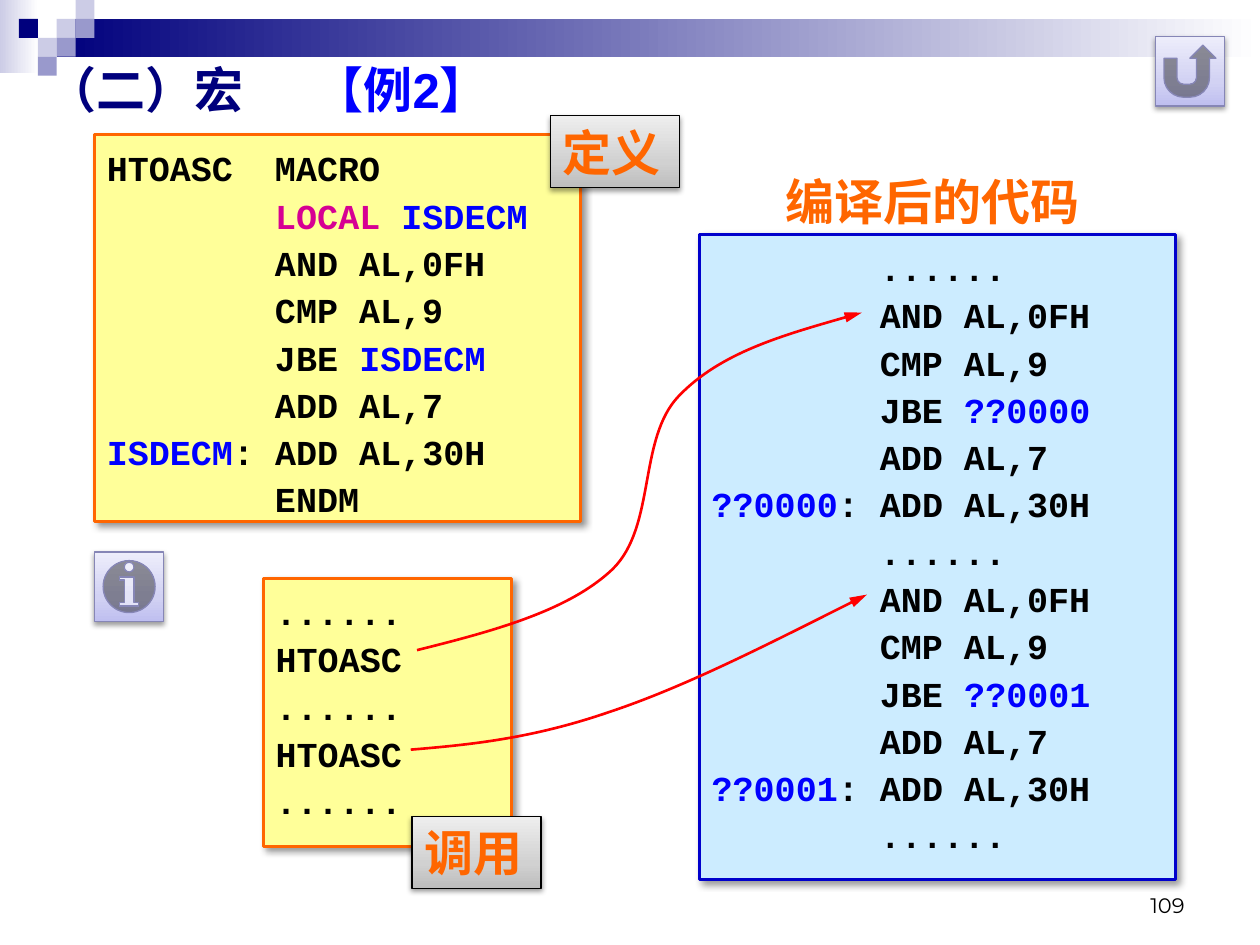
import pptx
import pptx.dml.color
import pptx.enum.shapes
import pptx.enum.text
import pptx.oxml
import pptx.oxml.ns
import pptx.util
from dataclasses import dataclass

Pt = pptx.util.Pt
RGB = pptx.dml.color.RGBColor.from_string
SHAPE = pptx.enum.shapes.MSO_SHAPE
ALIGN = pptx.enum.text.PP_ALIGN
ANCHOR = pptx.enum.text.MSO_ANCHOR
qn = pptx.oxml.ns.qn
NS = pptx.oxml.ns.nsdecls("a")


@dataclass(frozen=True)
class Theme:
    heading_font: str = "Arial"
    code_font: str = "Courier New"
    number_font: str = "Montserrat"
    heading_size: int = 28
    code_size: int = 20
    number_size: int = 12
    black: str = "000000"
    white: str = "FFFFFF"
    navy: str = "00007D"
    lilac: str = "CCCCE6"
    violet: str = "9999CC"
    orange: str = "FF6600"
    blue: str = "0000FF"
    magenta: str = "D60093"
    red: str = "FF0000"
    yellow: str = "FFFF99"
    sky: str = "CCECFF"
    sky_edge: str = "0000CC"
    button_edge: str = "8686B6"
    grey_fade: tuple = ((0, "BDBDBD"), (35, "D1D1D1"), (100, "EEEEEE"))
    button_fade: tuple = ((0, "BFBFF0"), (35, "D2D2F3"), (100, "EDEDFB"))
    # opacity %, blur, distance, direction
    box_shadow: tuple = (40, 4, 3, 45)
    button_shadow: tuple = (38, 3.1, 1.6, 90)


theme = Theme()


def write(shape, lines, font=theme.heading_font, size=theme.heading_size, color=theme.orange,
          bold=True, align=ALIGN.LEFT, anchor=ANCHOR.MIDDLE, top=3.6, leading=None, gap=0):
    """Each line is a list of runs; a run is a string or a (string, colour) pair."""
    frame = shape.text_frame
    frame.word_wrap = True
    frame.vertical_anchor = anchor
    frame.margin_left = frame.margin_right = Pt(7.2)
    frame.margin_top, frame.margin_bottom = Pt(top), Pt(3.6)
    for index, line in enumerate(lines):
        paragraph = frame.add_paragraph() if index else frame.paragraphs[0]
        paragraph.alignment = align
        if leading:
            paragraph.line_spacing = Pt(leading)
        if index and gap:
            paragraph.space_before = Pt(gap)
        for part in line:
            words, ink = (part, color) if isinstance(part, str) else part
            run = paragraph.add_run()
            run.text = words
            run.font.name, run.font.size, run.font.bold = font, Pt(size), bold
            run.font.color.rgb = RGB(ink)


def add_box(preset, place, fill, angle=90, edge=None, weight=1.5, shadow=None):
    """Fill is a colour or a row of (percent, colour) gradient stops."""
    shape = slide.shapes.add_shape(preset, *map(Pt, place))
    if isinstance(fill, str):
        shape.fill.solid()
        shape.fill.fore_color.rgb = RGB(fill)
    else:
        shape.fill.gradient()
        shape.fill.gradient_angle = angle
        stops = shape.element.spPr.find(qn("a:gradFill")).find(qn("a:gsLst"))
        for stop in list(stops):
            stops.remove(stop)
        for percent, color in fill:
            stops.append(pptx.oxml.parse_xml(
                f'<a:gs {NS} pos="{percent * 1000}"><a:srgbClr val="{color}"/></a:gs>'))
    if edge:
        shape.line.color.rgb = RGB(edge)
        shape.line.width = Pt(weight)
    else:
        shape.line.fill.background()
    shape.shadow.inherit = False
    if shadow:
        opacity, blur, distance, direction = shadow
        shape.element.spPr.find(qn("a:effectLst")).append(pptx.oxml.parse_xml(
            f'<a:outerShdw {NS} blurRad="{Pt(blur)}" dist="{Pt(distance)}" '
            f'dir="{direction * 60000}" rotWithShape="0"><a:srgbClr val="{theme.black}">'
            f'<a:alpha val="{opacity * 1000}"/></a:srgbClr></a:outerShdw>'))
    return shape


deck = pptx.Presentation()
deck.slide_width, deck.slide_height = Pt(720), Pt(540)
slide = deck.slides.add_slide(deck.slide_layouts[5])

# Banner
add_box(SHAPE.RECTANGLE, (0, 0, 22, 42), ((0, theme.lilac), (100, theme.white)), angle=0)
add_box(SHAPE.RECTANGLE, (32.4, 10.8, 687.6, 21.6),
        ((0, theme.navy), (100, theme.white)), angle=0)
tile = 10.8
for column, row, color in [(3, 1, theme.lilac), (4, 0, theme.lilac), (4, 1, theme.violet),
                           (2, 2, theme.lilac), (1, 1, theme.navy), (3, 2, theme.violet),
                           (2, 3, theme.violet)]:
    add_box(SHAPE.RECTANGLE, (column * tile, row * tile, tile, tile), color)

# Headings and page number
title = slide.shapes.title
title.left, title.top, title.width, title.height = Pt(20.2), Pt(30.2), Pt(648), Pt(41)
write(title, [["（二）宏"]], color=theme.navy)
for place, words, options in [
    ((433.4, 94.3, 198.7, 41), "编译后的代码", dict(align=ALIGN.CENTER)),
    ((172.8, 30.2, 198.7, 41), "【例2】", dict(color=theme.blue)),
    ((516.2, 491.8, 167.8, 36), "109",
     dict(font=theme.number_font, size=theme.number_size, color=theme.black, bold=False,
          align=ALIGN.RIGHT, anchor=ANCHOR.BOTTOM)),
]:
    write(slide.shapes.add_textbox(*map(Pt, place)), [[words]], **options)

# Code listings
local = ("ISDECM", theme.blue)
definition = [
    ["HTOASC  MACRO"],
    ["        ", ("LOCAL ", theme.magenta), local],
    ["        AND AL,0FH"],
    ["        CMP AL,9"],
    ["        JBE ", local],
    ["        ADD AL,7"],
    [local, ": ADD AL,30H"],
    ["        ENDM"],
]
calls = [["......"], ["HTOASC"], ["......"], ["HTOASC"], ["......"]]
expansion = [["        ......"]]
for number in range(2):
    label = (f"??{number:04}", theme.blue)
    expansion += [
        ["        AND AL,0FH"],
        ["        CMP AL,9"],
        ["        JBE ", label],
        ["        ADD AL,7"],
        [label, ": ADD AL,30H"],
        ["        ......"],
    ]
for place, fill, edge, code in [
    ((150.5, 330.5, 141.8, 153.4), theme.yellow, theme.orange, calls),
    ((399.6, 133.9, 272.2, 368.6), theme.sky, theme.sky_edge, expansion),
    ((54, 77, 277.9, 221), theme.yellow, theme.orange, definition),
]:
    listing = add_box(SHAPE.RECTANGLE, place, fill, edge=edge, shadow=theme.box_shadow)
    write(listing, code, font=theme.code_font, size=theme.code_size, color=theme.black,
          anchor=ANCHOR.TOP, top=7, leading=24, gap=3)

# Tags on the listings
for left, top, words in [(235.4, 466.6, "调用"), (314.6, 66.2, "定义")]:
    tag = add_box(SHAPE.RECTANGLE, (left, top, 73.8, 41), theme.grey_fade,
                  edge=theme.black, weight=0.75, shadow=theme.button_shadow)
    write(tag, [[words]])

# Curved arrows from each call to its expansion: a start, then three points per curve
for start, *points in [
    [(238.3, 371.5), (281.5, 360.7), (324.7, 349.2), (349.9, 325.4),
     (375.1, 301), (364.3, 250.6), (388.1, 226.1), (411.8, 201.6), (452.2, 190.1), (492.5, 178.6)],
    [(234.7, 428.4), (270, 425.5), (304.6, 421.9), (348.5, 406.8),
     (391.7, 392.4), (443.5, 365.8), (495.4, 339.8)],
]:
    builder = slide.shapes.build_freeform(*map(Pt, start))
    builder.add_line_segments([(Pt(x), Pt(y)) for x, y in points], close=False)
    arrow = builder.convert_to_shape()
    segments = list(arrow.element.iter(qn("a:lnTo")))
    outline = segments[0].getparent()
    for first in range(0, len(segments), 3):
        curve = pptx.oxml.parse_xml(f"<a:cubicBezTo {NS}/>")
        for segment in segments[first:first + 3]:
            curve.append(segment[0])
            outline.remove(segment)
        outline.append(curve)
    arrow.fill.background()
    arrow.line.color.rgb = RGB(theme.red)
    arrow.line.width = Pt(1.5)
    arrow.element.spPr.find(qn("a:ln")).append(
        pptx.oxml.parse_xml(f'<a:tailEnd {NS} type="triangle" w="med" len="lg"/>'))
    arrow.shadow.inherit = False

# Action buttons
for preset, left, top in [(SHAPE.ACTION_BUTTON_INFORMATION, 54, 315.4),
                          (SHAPE.ACTION_BUTTON_RETURN, 660.2, 20.9)]:
    add_box(preset, (left, top, 39.6, 39.6), theme.button_fade,
            edge=theme.button_edge, weight=0.75, shadow=theme.button_shadow)

deck.save("out.pptx")
